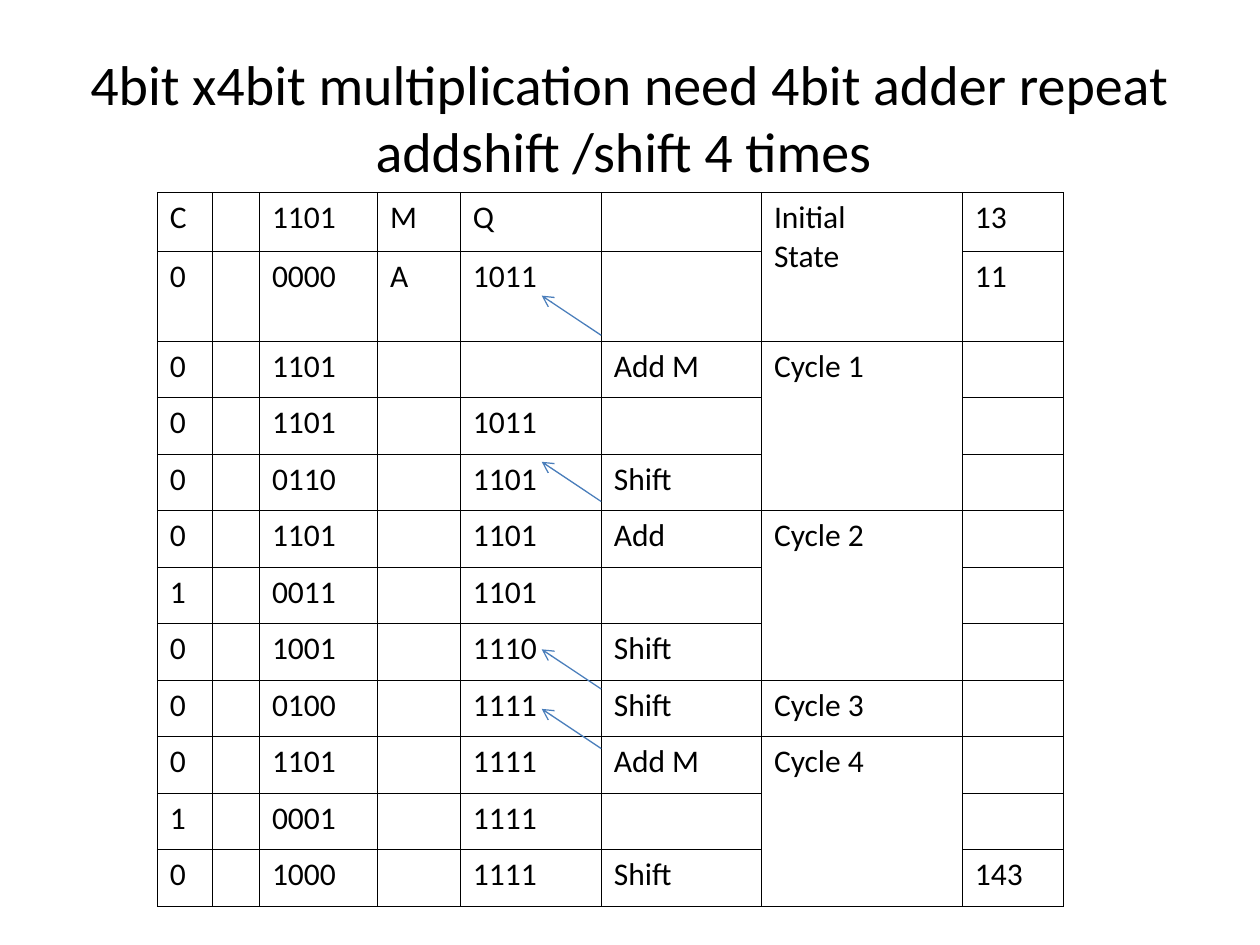
from lxml import etree
from pptx import Presentation
from pptx import util as u
from pptx.dml.color import RGBColor
from pptx.enum import shapes, text
from pptx.oxml.ns import qn

BLACK = RGBColor(0x00, 0x00, 0x00)
ARROW_BLUE = RGBColor(0x4A, 0x7E, 0xBB)

TITLE = "4bit x4bit multiplication need 4bit adder repeat addshift /shift 4 times "
TITLE_FRAME = {"left": u.Cm(1.27), "top": u.Cm(0.76), "width": u.Cm(22.86), "height": u.Cm(3.18)}
TITLE_FONT = {"name": "Calibri", "size": u.Pt(32)}
CELL_FONT = {"name": "Calibri", "size": u.Pt(18)}

# Columns: carry, gap, accumulator, register label, multiplier, operation, cycle, decimal
STEPS = [
    ("C", "", "1101", "M", "Q", "", "Initial\nState", "13"),
    ("0", "", "0000", "A", "1011", "", "", "11"),
    ("0", "", "1101", "", "", "Add M", "Cycle 1", ""),
    ("0", "", "1101", "", "1011", "", "", ""),
    ("0", "", "0110", "", "1101", "Shift", "", ""),
    ("0", "", "1101", "", "1101", "Add", "Cycle 2", ""),
    ("1", "", "0011", "", "1101", "", "", ""),
    ("0", "", "1001", "", "1110", "Shift", "", ""),
    ("0", "", "0100", "", "1111", "Shift", "Cycle 3", ""),
    ("0", "", "1101", "", "1111", "Add M", "Cycle 4", ""),
    ("1", "", "0001", "", "1111", "", "", ""),
    ("0", "", "1000", "", "1111", "Shift", "", "143"),
]
COLUMN_WIDTHS = [1.11, 0.95, 2.38, 1.67, 2.84, 3.23, 4.05, 2.04]
ROW_HEIGHTS = [1.19, 1.78] + [1.14] * 10
CYCLE_COLUMN = 6
CYCLE_ROWS = [(0, 1), (2, 4), (5, 7), (9, 11)]

ARROW_STARTS = [6.76, 10.11, 13.89, 15.09]
ARROW_RISE = 0.8


def apply_format(target, values):
    for attribute, value in values.items():
        setattr(target, attribute, value)


def format_font(paragraph, values):
    apply_format(paragraph.font, values)
    paragraph.font.color.rgb = BLACK


def add_title(slide):
    title = slide.shapes.title
    apply_format(title, TITLE_FRAME)
    title.text_frame.text = TITLE
    title.text_frame.vertical_anchor = text.MSO_ANCHOR.MIDDLE
    heading = title.text_frame.paragraphs[0]
    heading.alignment = text.PP_ALIGN.CENTER
    format_font(heading, TITLE_FONT)


def add_borders(cell):
    properties = cell._tc.get_or_add_tcPr()
    for side in ("a:lnL", "a:lnR", "a:lnT", "a:lnB"):
        border = etree.SubElement(properties, qn(side), w=str(u.Pt(0.45)))
        fill = etree.SubElement(border, qn("a:solidFill"))
        etree.SubElement(fill, qn("a:srgbClr"), val=str(BLACK))


def fill_cell(cell, content):
    cell.text = content
    for paragraph in cell.text_frame.paragraphs:
        format_font(paragraph, CELL_FONT)
    add_borders(cell)
    cell.fill.background()


def add_step_table(slide):
    frame = slide.shapes.add_table(
        len(STEPS), len(COLUMN_WIDTHS), u.Cm(3.17), u.Cm(3.88),
        u.Cm(sum(COLUMN_WIDTHS)), u.Cm(sum(ROW_HEIGHTS)))
    steps = frame.table
    apply_format(steps, {"first_row": False, "horz_banding": False})
    for column, width in zip(steps.columns, COLUMN_WIDTHS):
        column.width = u.Cm(width)
    for row, height, step in zip(steps.rows, ROW_HEIGHTS, STEPS):
        row.height = u.Cm(height)
        for cell, content in zip(row.cells, step):
            fill_cell(cell, content)
    # Each cycle label spans the rows of its cycle
    for first, last in CYCLE_ROWS:
        steps.cell(first, CYCLE_COLUMN).merge(steps.cell(last, CYCLE_COLUMN))


def add_bit_arrow(slide, start):
    arrow = slide.shapes.add_connector(
        shapes.MSO_CONNECTOR.STRAIGHT,
        u.Cm(12.12), u.Cm(start), u.Cm(10.92), u.Cm(start - ARROW_RISE))
    arrow.line.color.rgb = ARROW_BLUE
    arrow.line.width = u.Pt(0.75)
    properties = arrow._element.spPr
    etree.SubElement(properties.find(qn("a:ln")), qn("a:tailEnd"), type="arrow")
    etree.SubElement(properties, qn("a:effectLst"))


def main():
    deck = Presentation()
    apply_format(deck, {"slide_width": u.Cm(25.4), "slide_height": u.Cm(19.05)})
    slide = deck.slides.add_slide(deck.slide_layouts[5])
    add_title(slide)
    add_step_table(slide)
    # Arrows to the lowest multiplier bit
    for start in ARROW_STARTS:
        add_bit_arrow(slide, start)
    deck.save("out.pptx")


if __name__ == "__main__":
    main()
